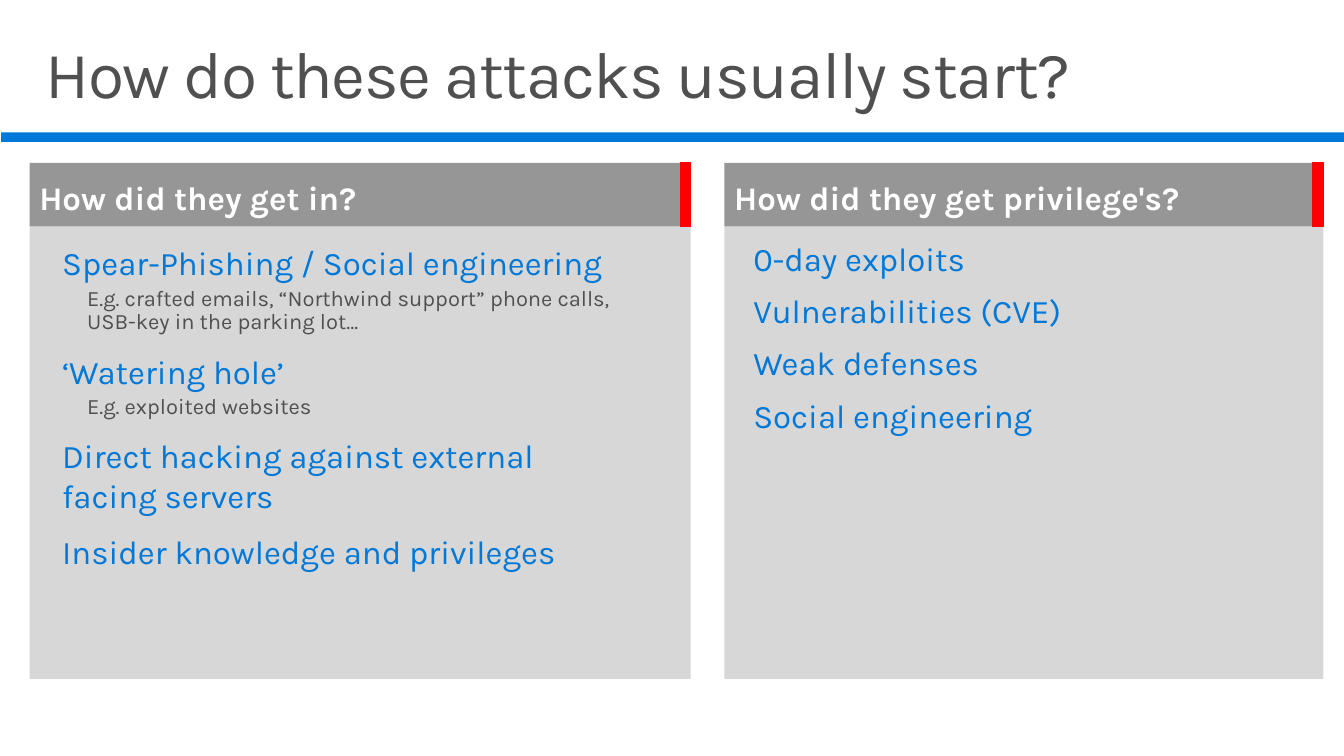
from dataclasses import dataclass

import pptx
import pptx.dml.color
import pptx.enum.shapes
import pptx.enum.text
import pptx.util

Cm = pptx.util.Cm
Pt = pptx.util.Pt

FONT = "Karla"
COLORS = {
    "blue": "0078D7",
    "text": "505050",
    "panel": "D7D7D7",
    "header": "969696",
    "marker": "FF0000",
    "white": "FFFFFF",
}
HEADER_TOP, HEADER_HEIGHT = 4.19, 1.63
PANEL_TOP, PANEL_HEIGHT = 5.82, 11.63
MARKER_WIDTH = 0.27


@dataclass
class Box:
    left: float
    top: float
    width: float
    height: float

    def lengths(self) -> tuple:
        return Cm(self.left), Cm(self.top), Cm(self.width), Cm(self.height)


@dataclass
class Point:
    heading: str
    examples: tuple[str, ...] = ()


@dataclass
class Panel:
    question: str
    left: float
    width: float
    answers: Box
    line_spacing: float
    points: list[Point]


PANELS = [
    Panel("How did they get in?", 0.76, 16.99, Box(1.19, 5.99, 15.24, 10.72), 1.0, [
        Point("Spear-Phishing / Social engineering",
              ("E.g. crafted emails, “Northwind support” phone calls,",
               "USB-key in the parking lot…")),
        Point("‘Watering hole’", ("E.g. exploited websites",)),
        Point("Direct hacking against external facing servers"),
        Point("Insider knowledge and privileges"),
    ]),
    Panel("How did they get privilege's?", 18.62, 15.39, Box(18.95, 5.99, 15.24, 6.83), 0.9, [
        Point("0-day exploits"),
        Point("Vulnerabilities (CVE)"),
        Point("Weak defenses"),
        Point("Social engineering"),
    ]),
]


def rgb(color: str) -> pptx.dml.color.RGBColor:
    return pptx.dml.color.RGBColor.from_string(COLORS[color])


def add_bar(slide, box: Box, color: str, outlined: bool = False):
    bar = slide.shapes.add_shape(pptx.enum.shapes.MSO_SHAPE.RECTANGLE, *box.lengths())
    bar.shadow.inherit = False
    bar.fill.solid()
    bar.fill.fore_color.rgb = rgb(color)
    if outlined:
        bar.line.color.rgb = rgb(color)
        bar.line.width = Pt(0.75)
    else:
        bar.line.fill.background()
    return bar


def set_frame(frame, side_inset: float, anchor) -> None:
    frame.word_wrap = True
    frame.vertical_anchor = anchor
    frame.margin_left = frame.margin_right = Cm(side_inset)
    frame.margin_top = frame.margin_bottom = Cm(0.25)


def add_text_area(slide, box: Box):
    frame = slide.shapes.add_textbox(*box.lengths()).text_frame
    set_frame(frame, 0.41, pptx.enum.text.MSO_ANCHOR.TOP)
    return frame


def add_run(paragraph, text: str, size: float, color: str, bold: bool = False):
    run = paragraph.add_run()
    run.text = text
    run.font.name = FONT
    run.font.size = Pt(size)
    run.font.bold = bold
    run.font.color.rgb = rgb(color)
    return run


def add_title(slide, text: str) -> None:
    paragraph = add_text_area(slide, Box(0.76, 0.81, 33.02, 2.54)).paragraphs[0]
    paragraph.line_spacing = 0.9
    run = add_run(paragraph, text, 48, "text")
    run.font._element.set("spc", "-100")


def add_header(slide, panel: Panel) -> None:
    bar_width = panel.width - MARKER_WIDTH
    header = add_bar(slide, Box(panel.left, HEADER_TOP, bar_width, HEADER_HEIGHT), "header")
    set_frame(header.text_frame, 0.25, pptx.enum.text.MSO_ANCHOR.BOTTOM)
    paragraph = header.text_frame.paragraphs[0]
    paragraph.alignment = pptx.enum.text.PP_ALIGN.LEFT
    add_run(paragraph, panel.question, 24, "white", bold=True)
    marker = Box(panel.left + bar_width, HEADER_TOP, MARKER_WIDTH, HEADER_HEIGHT)
    add_bar(slide, marker, "marker", outlined=True)


def add_points(slide, panel: Panel) -> None:
    frame = add_text_area(slide, panel.answers)
    for index, point in enumerate(panel.points):
        heading = frame.add_paragraph() if index else frame.paragraphs[0]
        heading.line_spacing = panel.line_spacing
        if index:
            heading.space_before = Pt(12.2)
        add_run(heading, point.heading, 24, "blue")
        if point.examples:
            add_examples(frame, point.examples)


def add_examples(frame, lines: tuple[str, ...]) -> None:
    paragraph = frame.add_paragraph()
    paragraph.level = 1
    properties = paragraph._p.get_or_add_pPr()
    properties.set("marL", str(Cm(0.64)))
    properties.set("indent", "0")
    paragraph.line_spacing = 0.9
    paragraph.space_before = Pt(3.5)
    for index, line in enumerate(lines):
        if index:
            paragraph.add_line_break()
        add_run(paragraph, line, 16, "text")


def main() -> None:
    presentation = pptx.Presentation()
    presentation.slide_width = Cm(34.54)
    presentation.slide_height = Cm(19.43)
    slide = presentation.slides.add_slide(presentation.slide_layouts[6])
    add_title(slide, "How do these attacks usually start?")
    add_bar(slide, Box(0.03, 3.4, 34.51, 0.25), "blue")
    for panel in PANELS:
        add_bar(slide, Box(panel.left, PANEL_TOP, panel.width, PANEL_HEIGHT), "panel")
        add_points(slide, panel)
        add_header(slide, panel)
    presentation.save("out.pptx")


if __name__ == "__main__":
    main()
